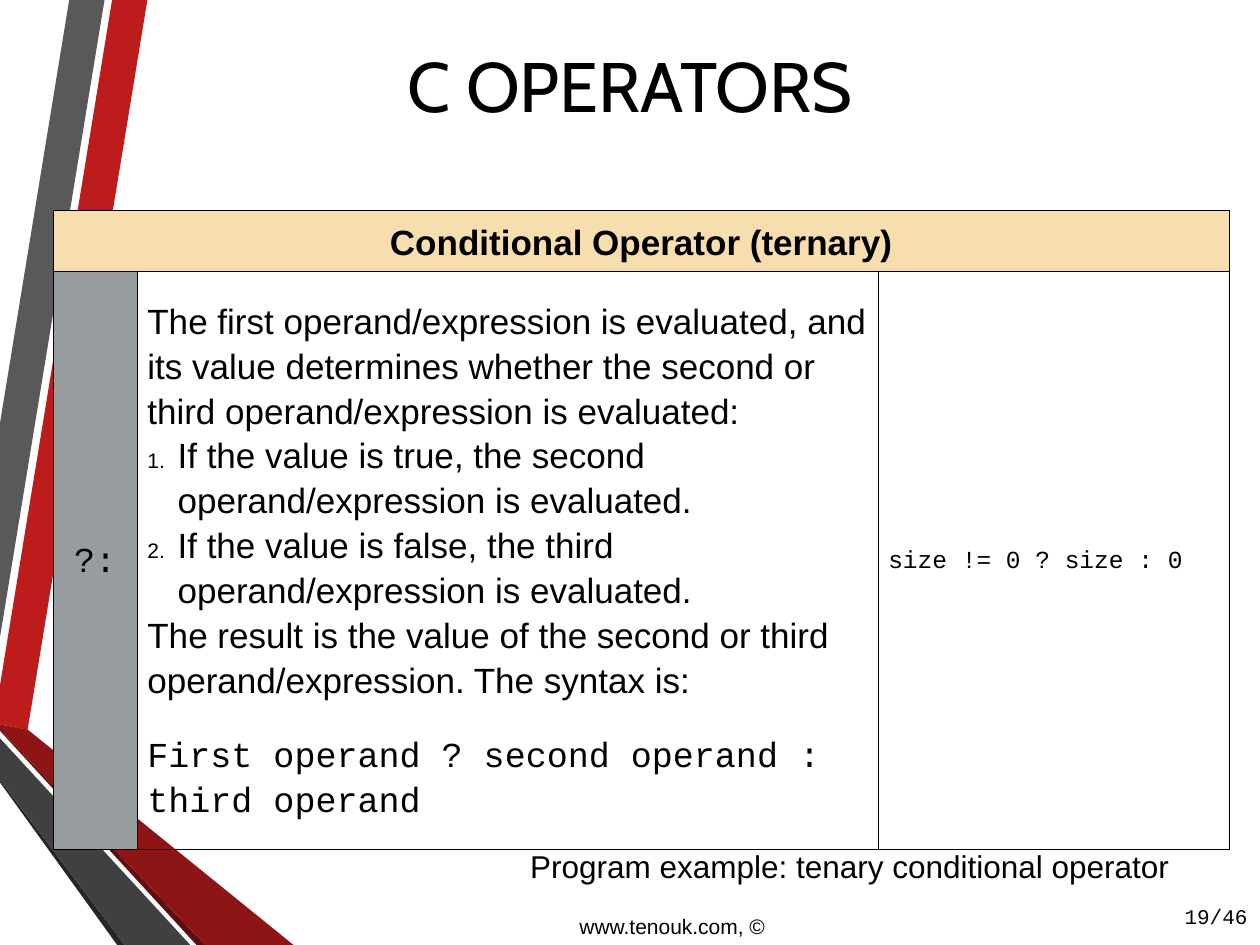
from pptx import Presentation
from pptx.util import Inches, Pt
from pptx.dml.color import RGBColor
from pptx.enum.text import PP_ALIGN, MSO_ANCHOR, MSO_AUTO_SIZE
from pptx.oxml import parse_xml
from pptx.oxml.ns import nsdecls


def rgb(color):
    return RGBColor.from_string(color)


def add_run(p, text, size, font="Arial", bold=False):
    r = p.add_run()
    r.text = text
    r.font.size = Pt(size)
    r.font.name = font
    r.font.bold = bold
    r.font.color.rgb = rgb("000000")


prs = Presentation()
prs.slide_width = Inches(10)
prs.slide_height = Inches(7.5)
s = prs.slides.add_slide(prs.slide_layouts[5])

ribbons = [
    ("BC1C1C", [(0, 5.44), (0, 5.75), (0.22, 5.79), (1.17, 0), (0.89, 0)]),
    ("595959", [(0.83, 0), (0.55, 0), (0, 3.36), (0, 5.06)]),
    ("262626", [(0, 6.19), (0, 6.21), (0.93, 7.5), (0.99, 7.5)]),
    ("5E0E0E", [(0, 5.79), (0, 5.8), (1.56, 7.5), (1.63, 7.5)]),
    ("8D1515", [(0, 5.79), (1.63, 7.5), (2.33, 7.5), (0.22, 5.79), (0, 5.75)]),
    ("404040", [(0, 6.19), (0.99, 7.5), (1.51, 7.5), (0, 5.86)]),
]
for color, points in ribbons:
    points = [(Inches(x), Inches(y)) for x, y in points]
    fb = s.shapes.build_freeform(*points[0])
    fb.add_line_segments(points[1:], close=True)
    sp = fb.convert_to_shape()
    sp.shadow.inherit = False
    sp.fill.solid()
    sp.fill.fore_color.rgb = rgb(color)
    sp.line.fill.background()

title = s.shapes.title
title.left, title.top = Inches(0.5), Inches(0.25)
title.width, title.height = Inches(9), Inches(0.84)
title.text_frame.vertical_anchor = MSO_ANCHOR.MIDDLE
p = title.text_frame.paragraphs[0]
p.alignment = PP_ALIGN.CENTER
add_run(p, "C OPERATORS", 40, "Cabin")

table = s.shapes.add_table(2, 3, Inches(0.42), Inches(1.67), Inches(9.34), Inches(5.07)).table
table.first_row = False
table.horz_banding = False
for column, width in zip(table.columns, (0.67, 5.88, 2.79)):
    column.width = Inches(width)
for row, height in zip(table.rows, (0.48, 4.59)):
    row.height = Inches(height)
table.cell(0, 0).merge(table.cell(0, 2))

for cell in table.iter_cells():
    cell.margin_left = cell.margin_right = Inches(0.08)
    cell.margin_top = cell.margin_bottom = Inches(0.05)
    cell.vertical_anchor = MSO_ANCHOR.MIDDLE
    tcPr = cell._tc.get_or_add_tcPr()
    for side in ("lnL", "lnR", "lnT", "lnB"):
        tcPr.append(parse_xml(
            f'<a:{side} {nsdecls("a")} w="{Pt(0.45)}"><a:solidFill>'
            f'<a:srgbClr val="000000"/></a:solidFill></a:{side}>'))
    cell.fill.background()
for row, color in enumerate(("F7DEAE", "979D9F")):
    fill = table.cell(row, 0).fill
    fill.solid()
    fill.fore_color.rgb = rgb(color)

labels = [
    (0, 0, "Conditional Operator (ternary)", 20, "Arial", True, PP_ALIGN.CENTER),
    (1, 0, "?:", 20, "Courier New", False, PP_ALIGN.CENTER),
    (1, 2, "size != 0 ? size : 0", 14, "Courier New", False, PP_ALIGN.LEFT),
]
for row, col, text, size, font, bold, align in labels:
    p = table.cell(row, col).text_frame.paragraphs[0]
    p.alignment = align
    p.line_spacing = 1.15
    add_run(p, text, size, font, bold)

description = [
    ("The first operand/expression is evaluated, and its value determines "
     "whether the second or third operand/expression is evaluated:", "Arial", False),
    ("If the value is true, the second operand/expression is evaluated.", "Arial", True),
    ("If the value is false, the third operand/expression is evaluated.", "Arial", True),
    ("The result is the value of the second or third operand/expression. "
     "The syntax is:", "Arial", False),
    ("First operand ? second operand : third operand", "Courier New", False),
]
tf = table.cell(1, 1).text_frame
for i, (text, font, numbered) in enumerate(description):
    p = tf.add_paragraph() if i else tf.paragraphs[0]
    p.line_spacing = 1.15
    if font == "Courier New":
        p.space_before = Pt(18)
    if numbered:
        pPr = p._p.get_or_add_pPr()
        pPr.set("marL", str(Inches(0.24)))
        pPr.set("indent", str(-Inches(0.24)))
        for tag in ('buClr><a:srgbClr val="000000"/></a:buClr', 'buSzPct val="60000"/',
                    'buFont typeface="Arial"/', 'buAutoNum type="arabicPeriod"/'):
            name, rest = (tag.split(">", 1) + [""])[:2] if "><" in tag else (tag, "")
            head, _, attrs = name.partition(" ")
            xml = f'<a:{head} {nsdecls("a")} {attrs}>{rest}'
            pPr.append(parse_xml(xml + ">" if rest else xml))
    add_run(p, text, 20, font)

notes = [
    (4.11, 6.67, 5.27, 0.4, "Program example: tenary conditional operator", 18, "Arial",
     PP_ALIGN.LEFT, MSO_ANCHOR.TOP, False),
    (9.17, 7.07, 0.83, 0.4, "19/46", 12, "Courier New",
     PP_ALIGN.RIGHT, MSO_ANCHOR.MIDDLE, True),
    (4.5, 7.2, 1.75, 0.3, "www.tenouk.com, ©", 12, "Arial",
     PP_ALIGN.LEFT, MSO_ANCHOR.TOP, True),
]
for x, y, w, h, text, size, font, align, anchor, wrap in notes:
    tf = s.shapes.add_textbox(Inches(x), Inches(y), Inches(w), Inches(h)).text_frame
    tf.word_wrap = wrap
    tf.auto_size = MSO_AUTO_SIZE.NONE
    tf.vertical_anchor = anchor
    p = tf.paragraphs[0]
    p.alignment = align
    add_run(p, text, size, font)

prs.save("out.pptx")
